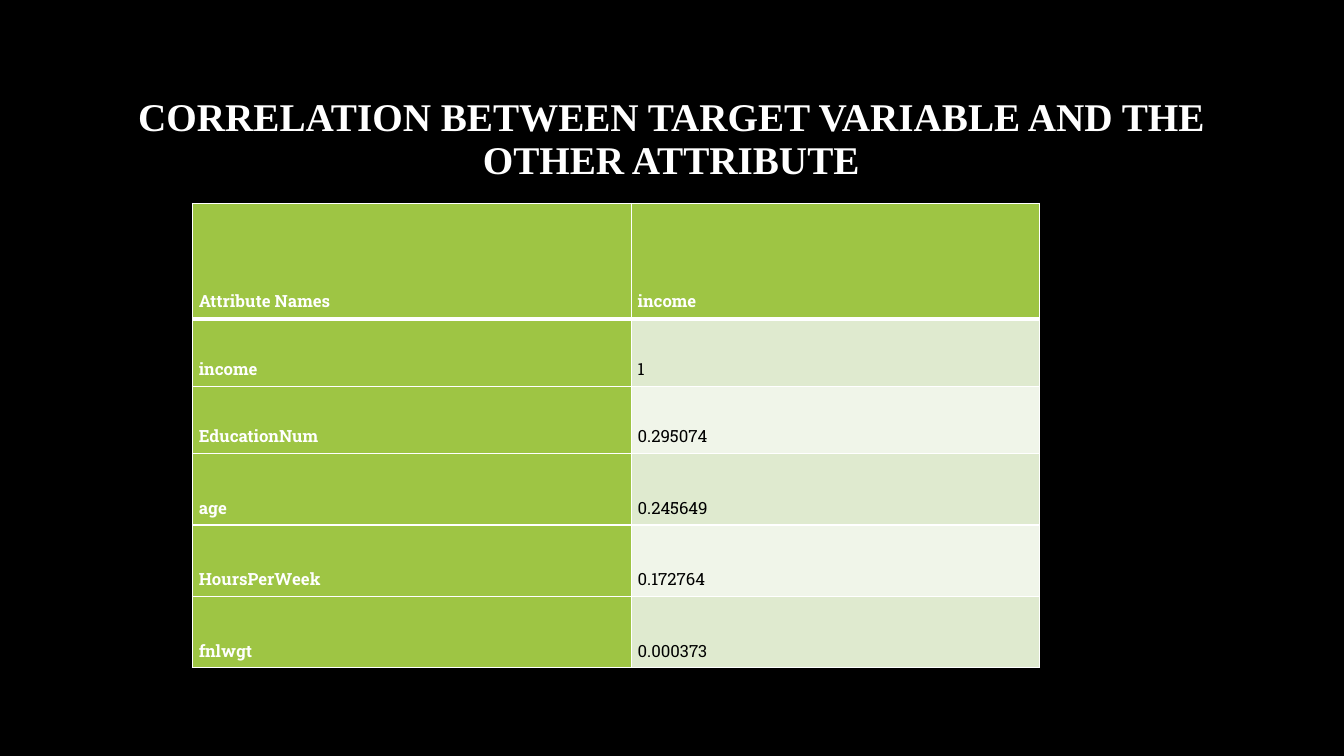
from dataclasses import dataclass

from lxml import etree
from pptx import Presentation
from pptx.dml.color import RGBColor
from pptx.enum.text import MSO_ANCHOR, PP_ALIGN
from pptx.oxml.ns import qn
from pptx.util import Cm, Pt

CENTER, LEFT = PP_ALIGN.CENTER, PP_ALIGN.LEFT
MIDDLE, BOTTOM = MSO_ANCHOR.MIDDLE, MSO_ANCHOR.BOTTOM


@dataclass(frozen=True)
class Theme:
    background: str = "000000"
    light: str = "FFFFFF"
    dark: str = "000000"
    accent: str = "9EC544"
    bands: tuple[str, str] = ("DFEACF", "F0F5E9")
    title_font: str = "Times New Roman"
    table_font: str = "Roboto Slab"
    title_size: int = 28
    table_size: int = 12
    thin_line: int = 1
    thick_line: int = 3


@dataclass(frozen=True)
class TableRow:
    attribute: str
    income: str
    height: float


THEME = Theme()
TITLE = "CORRELATION BETWEEN TARGET VARIABLE AND THE OTHER ATTRIBUTE"
COLUMN_WIDTHS = (11.06, 10.29)
ROWS = (
    TableRow("Attribute Names", "income", 2.9),
    TableRow("income", "1", 1.7),
    TableRow("EducationNum", "0.295074", 1.7),
    TableRow("age", "0.245649", 1.8),
    TableRow("HoursPerWeek", "0.172764", 1.8),
    TableRow("fnlwgt", "0.000373", 1.8),
)


def set_all(target, values: dict) -> None:
    for name, value in values.items():
        setattr(target, name, value)


def write(frame, text: str, color: str, font: dict, layout: dict) -> None:
    para = frame.paragraphs[0]
    set_all(para, layout)
    span = para.add_run()
    span.text = text
    set_all(span.font, font)
    span.font.color.rgb = RGBColor.from_string(color)


def add_title(page) -> None:
    box = page.shapes.add_textbox(Cm(2.54), Cm(1.7), Cm(28.75), Cm(3.68))
    set_all(box.text_frame, {"word_wrap": True, "vertical_anchor": MIDDLE})
    font = {"name": THEME.title_font, "size": Pt(THEME.title_size), "bold": True}
    write(box.text_frame, TITLE, THEME.light, font,
          {"alignment": CENTER, "line_spacing": 0.9})


def add_borders(cell, widths: dict[str, int]) -> None:
    """Place the four border lines ahead of the fill, in schema order."""
    properties = cell._tc.get_or_add_tcPr()
    for position, (side, width) in enumerate(widths.items()):
        line = etree.Element(qn(f"a:ln{side}"), w=str(Pt(width)))
        fill = etree.SubElement(line, qn("a:solidFill"))
        etree.SubElement(fill, qn("a:srgbClr"), val=THEME.light)
        properties.insert(position, line)


def fill_cell(cell, text: str, row: int, column: int) -> None:
    emphasised = row == 0 or column == 0
    background = THEME.accent if emphasised else THEME.bands[(row - 1) % 2]
    cell.fill.solid()
    cell.fill.fore_color.rgb = RGBColor.from_string(background)
    inset = Cm(0.16)
    set_all(cell, {"vertical_anchor": BOTTOM, "margin_left": inset,
                   "margin_right": inset, "margin_top": inset,
                   "margin_bottom": inset})
    font = {"name": THEME.table_font, "size": Pt(THEME.table_size),
            "bold": emphasised}
    write(cell.text_frame, text, THEME.light if emphasised else THEME.dark, font,
          {"alignment": LEFT, "line_spacing": 2.0})
    # The rule below the header is shared by the first two rows
    thin, thick = THEME.thin_line, THEME.thick_line
    add_borders(cell, {"L": thin, "R": thin,
                       "T": thick if row == 1 else thin,
                       "B": thick if row == 0 else thin})


def add_correlation_table(page) -> None:
    width = Cm(sum(COLUMN_WIDTHS))
    height = Cm(sum(entry.height for entry in ROWS))
    table = page.shapes.add_table(len(ROWS), len(COLUMN_WIDTHS), Cm(4.85),
                                  Cm(5.13), width, height).table
    for column, column_width in zip(table.columns, COLUMN_WIDTHS):
        column.width = Cm(column_width)
    for row, entry in enumerate(ROWS):
        table.rows[row].height = Cm(entry.height)
        for column, text in enumerate((entry.attribute, entry.income)):
            fill_cell(table.cell(row, column), text, row, column)


def main() -> None:
    deck = Presentation()
    set_all(deck, {"slide_width": Cm(33.87), "slide_height": Cm(19.05)})
    page = deck.slides.add_slide(deck.slide_layouts[6])

    # Background
    page.background.fill.solid()
    page.background.fill.fore_color.rgb = RGBColor.from_string(THEME.background)

    # Heading and table
    add_title(page)
    add_correlation_table(page)
    deck.save("out.pptx")


if __name__ == "__main__":
    main()
